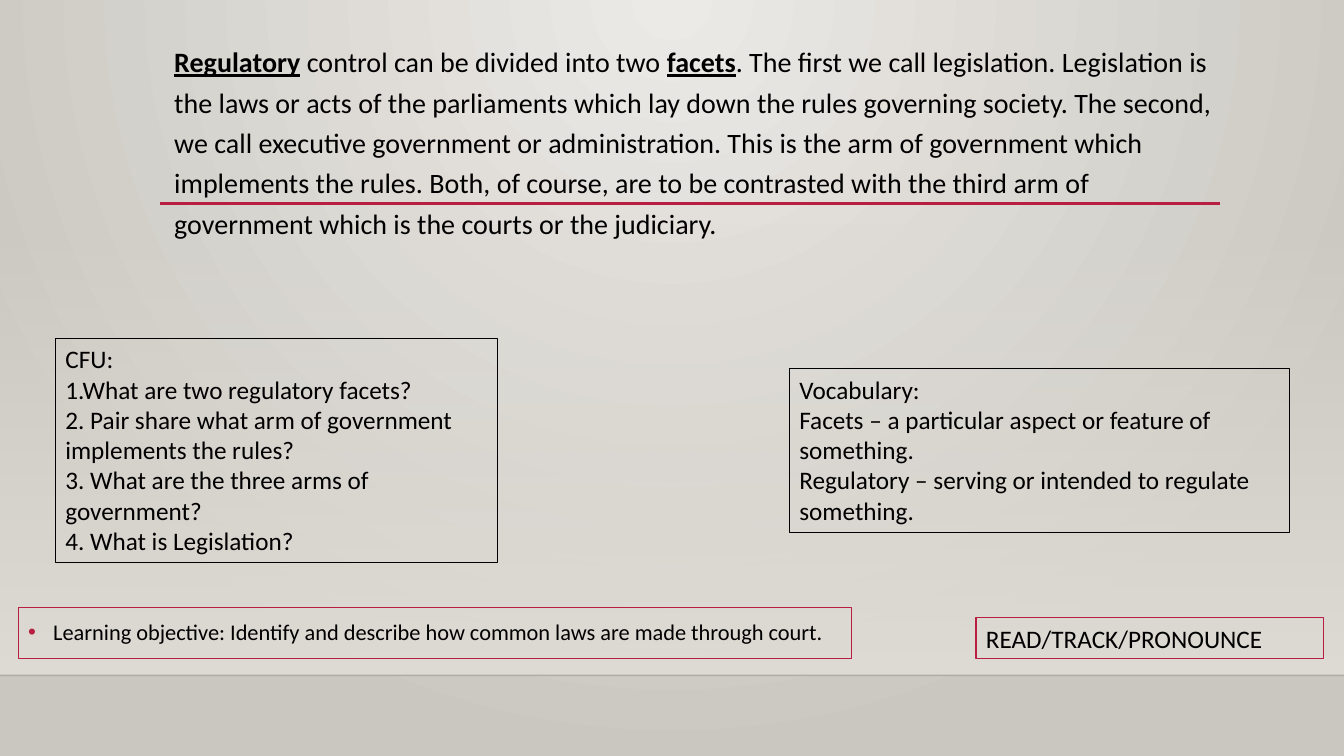
from dataclasses import dataclass

from lxml import etree
from pptx import Presentation
from pptx import util as u
from pptx.dml.color import RGBColor
from pptx.enum import shapes, text
from pptx.oxml import ns


@dataclass(frozen=True)
class Theme:
    """Colours, font and type sizes of the slide."""
    font: str = "Calibri"
    ink: str = "000000"
    accent: str = "B71E42"
    glow: str = "ECEAE7"
    edge: str = "CAC7C1"
    wall: str = "DFDBD5"
    shelf: str = "000001"
    passage: int = 20
    note: int = 18
    objective: int = 16


def set_all(target, values):
    """Set every attribute named in values on the target."""
    for name, value in values.items():
        setattr(target, name, value)


def add_element(parent, tag, **attributes):
    """Append a DrawingML element to the parent and return it."""
    return etree.SubElement(parent, ns.qn(tag), attributes)


class LessonSlide:
    """Draws the elements of one lesson slide in a given theme."""

    def __init__(self, slide, theme):
        self.slide, self.theme = slide, theme

    def gradient(self, fill, colours):
        """Give a fill a two-stop gradient."""
        fill.gradient()
        for stop, colour in zip(fill.gradient_stops, colours):
            stop.color.rgb = RGBColor.from_string(colour)

    def background(self):
        """Fill the background with a glow from the top centre."""
        fill = self.slide.background.fill
        self.gradient(fill, (self.theme.glow, self.theme.edge))
        properties = self.slide.background._cSld.bg.bgPr
        linear = properties.find(".//" + ns.qn("a:lin"))
        gradient = linear.getparent()
        gradient.remove(linear)
        circle = add_element(gradient, "a:path", path="circle")
        add_element(circle, "a:fillToRect", l="43000", t="0", r="43000", b="100000")

    def wall(self, left, top, width, height):
        """Draw a panel that fades in from top to bottom."""
        shape = self.slide.shapes.add_shape(
            shapes.MSO_SHAPE.RECTANGLE, *map(u.Inches, (left, top, width, height)))
        shape.shadow.inherit = False
        shape.line.fill.background()
        self.gradient(shape.fill, (self.theme.wall, self.theme.wall))
        shape.fill.gradient_angle = 270
        first_colour = shape._element.spPr.find(".//" + ns.qn("a:srgbClr"))
        add_element(first_colour, "a:alpha", val="0")

    def rule(self, left, right, y, colour, width, opacity=100):
        """Draw a horizontal line."""
        line = self.slide.shapes.add_connector(
            shapes.MSO_CONNECTOR.STRAIGHT, *map(u.Inches, (left, y, right, y)))
        line.line.color.rgb = RGBColor.from_string(colour)
        line.line.width = u.Pt(width)
        properties = line._element.spPr
        if opacity < 100:
            solid = properties.find(".//" + ns.qn("a:srgbClr"))
            add_element(solid, "a:alpha", val=str(opacity * 1000))
        add_element(properties, "a:effectLst")

    def bullet(self, paragraph):
        """Give a paragraph a hanging accent bullet."""
        properties = paragraph._p.get_or_add_pPr()
        indent = u.Inches(0.25)
        properties.set("marL", str(indent))
        properties.set("indent", str(-indent))
        colour = add_element(properties, "a:buClr")
        add_element(colour, "a:srgbClr", val=self.theme.accent)
        add_element(properties, "a:buFont", typeface="Arial")
        add_element(properties, "a:buChar", char="•")

    def text(self, box, paragraphs, size, outline=None, spacing=1.0, bulleted=False):
        """Write paragraphs of (words, is_key_term) runs in a box."""
        shape = self.slide.shapes.add_textbox(*map(u.Inches, box))
        if outline:
            shape.line.color.rgb = RGBColor.from_string(outline)
            shape.line.width = u.Pt(0.75)
        frame = shape.text_frame
        set_all(frame, {"word_wrap": True, "vertical_anchor": text.MSO_ANCHOR.TOP,
                        "auto_size": text.MSO_AUTO_SIZE.NONE})
        for index, runs in enumerate(paragraphs):
            paragraph = frame.add_paragraph() if index else frame.paragraphs[0]
            set_all(paragraph, {"line_spacing": spacing,
                                "alignment": text.PP_ALIGN.LEFT})
            if bulleted:
                self.bullet(paragraph)
            for words, is_key_term in runs:
                run = paragraph.add_run()
                run.text = words
                set_all(run.font, {"name": self.theme.font, "size": u.Pt(size),
                                   "bold": is_key_term, "underline": is_key_term})
                run.font.color.rgb = RGBColor.from_string(self.theme.ink)

    def note(self, box, lines, outline, **style):
        """Write plain lines in an outlined box."""
        style.setdefault("size", self.theme.note)
        self.text(box, [[(line, False)] for line in lines], outline=outline, **style)


PASSAGE = [
    ("Regulatory", True),
    (" control can be divided into two ", False),
    ("facets", True),
    (". The first we call legislation. Legislation is the laws or acts of the "
     "parliaments which lay down the rules governing society. The second, we call "
     "executive government or administration. This is the arm of government which "
     "implements the rules. Both, of course, are to be contrasted with the third "
     "arm of government which is the courts or the judiciary.", False),
]
VOCABULARY = [
    "Vocabulary:",
    "Facets – a particular aspect or feature of something.",
    "Regulatory – serving or intended to regulate something.",
]
QUESTIONS = [
    "CFU:",
    "1.What are two regulatory facets?",
    "2. Pair share what arm of government implements the rules?",
    "3. What are the three arms of government?",
    "4. What is Legislation?",
]
OBJECTIVE = ["Learning objective: Identify and describe how common laws are made "
             "through court."]


def main():
    """Build the slide and save it."""
    theme = Theme()
    presentation = Presentation()
    set_all(presentation, {"slide_width": u.Inches(13.33),
                           "slide_height": u.Inches(7.5)})
    slide = presentation.slides.add_slide(presentation.slide_layouts[6])
    lesson = LessonSlide(slide, theme)
    lesson.background()
    lesson.wall(0, 2.21, 13.33, 4.49)
    lesson.rule(0, 13.33, 6.7, theme.shelf, 1, opacity=20)
    lesson.rule(1.59, 12.1, 2.02, theme.accent, 2.5)
    lesson.text((1.63, 0.33, 10.5, 2.59), [PASSAGE], theme.passage, spacing=1.2)
    lesson.note((7.83, 3.66, 4.96, 1.62), VOCABULARY, theme.ink)
    lesson.note((0.55, 3.36, 4.38, 2.22), QUESTIONS, theme.ink)
    lesson.note((0.18, 6.03, 8.27, 0.5), OBJECTIVE, theme.accent,
                size=theme.objective, spacing=1.2, bulleted=True)
    lesson.note((9.68, 6.13, 3.45, 0.4), ["READ/TRACK/PRONOUNCE"], theme.accent)
    presentation.save("out.pptx")


if __name__ == "__main__":
    main()
